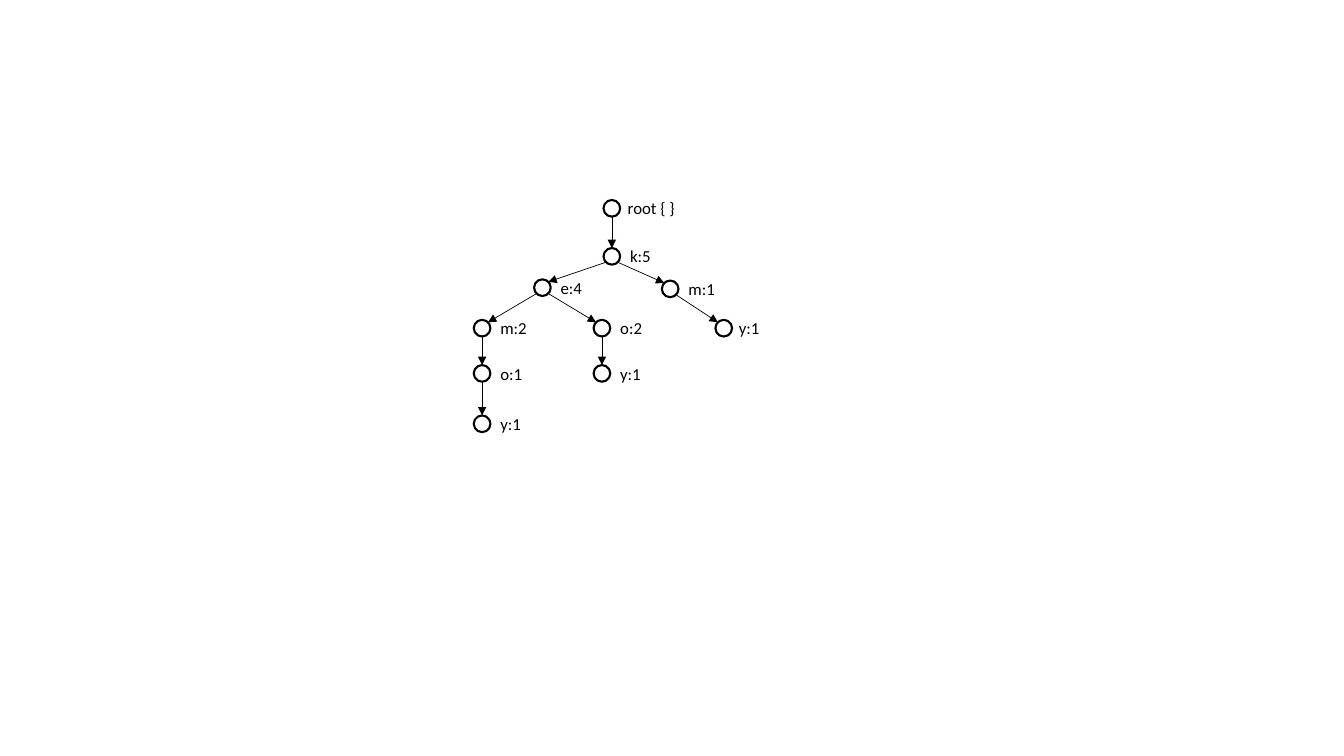
import math

import pptx
import pptx.dml.color
import pptx.enum.shapes
import pptx.enum.text
import pptx.oxml
import pptx.oxml.ns
import pptx.util

Cm = pptx.util.Cm
Pt = pptx.util.Pt

COLORS = {"ink": "000000"}
FONT = "Calibri"
DIAMETER = 0.42
RADIUS = DIAMETER / 2
LABEL_WIDTH, LABEL_HEIGHT = 1.75, 0.76

# Prefix path: (label, centre x, centre y, label offset), in cm within the tree box
NODES = {
    "root": ("root { }", 3.48, 0.4, 0.15),
    "k": ("k:5", 3.48, 1.61, RADIUS),
    "ke": ("e:4", 1.73, 2.4, RADIUS),
    "kem": ("m:2", 0.21, 3.42, RADIUS),
    "kemo": ("o:1", 0.21, 4.56, RADIUS),
    "kemoy": ("y:1", 0.21, 5.83, RADIUS),
    "keo": ("o:2", 3.23, 3.42, RADIUS),
    "keoy": ("y:1", 3.23, 4.56, RADIUS),
    "km": ("m:1", 4.95, 2.43, RADIUS),
    "kmy": ("y:1", 6.3, 3.42, 0.13),
}


def ink():
    return pptx.dml.color.RGBColor.from_string(COLORS["ink"])


def add_node(slide, x, y):
    circle = slide.shapes.add_shape(
        pptx.enum.shapes.MSO_SHAPE.OVAL,
        Cm(x - RADIUS), Cm(y - RADIUS), Cm(DIAMETER), Cm(DIAMETER))
    circle.shadow.inherit = False
    circle.fill.background()
    circle.line.color.rgb = ink()
    circle.line.width = Pt(1.5)
    return circle


def add_label(slide, text, x, y):
    label = slide.shapes.add_textbox(
        Cm(x), Cm(y - LABEL_HEIGHT / 2), Cm(LABEL_WIDTH), Cm(LABEL_HEIGHT))
    frame = label.text_frame
    frame.word_wrap = True
    frame.auto_size = pptx.enum.text.MSO_AUTO_SIZE.SHAPE_TO_FIT_TEXT
    run = frame.paragraphs[0].add_run()
    run.text = text
    run.font.name = FONT
    run.font.size = Pt(12)
    run.font.color.rgb = ink()


def add_arrow(slide, start, end, child):
    """Run from the rim of the parent to the rim of the child circle."""
    (x1, y1), (x2, y2) = start, end
    vertical = x1 == x2
    diagonal = RADIUS * math.sqrt(0.5)
    dx = 0 if vertical else math.copysign(diagonal, x2 - x1)
    dy = RADIUS if vertical else diagonal
    arrow = slide.shapes.add_connector(
        pptx.enum.shapes.MSO_CONNECTOR.STRAIGHT,
        Cm(x1 + dx), Cm(y1 + dy), Cm(x2 - dx), Cm(y2 - dy))
    if vertical:
        arrow.end_connect(child, 0)
    arrow.line.color.rgb = ink()
    arrow.line.width = Pt(0.5)
    tail = pptx.oxml.parse_xml(
        f'<a:tailEnd {pptx.oxml.ns.nsdecls("a")} type="triangle"/>')
    arrow.line._get_or_add_ln().append(tail)
    arrow._element.spPr.append(pptx.oxml.parse_xml(
        f'<a:effectLst {pptx.oxml.ns.nsdecls("a")}/>'))


def add_prefix_tree(slide, left, top):
    # Circles and labels
    circles, centres = {}, {}
    for prefix, (text, x, y, offset) in NODES.items():
        centres[prefix] = (left + x, top + y)
        circles[prefix] = add_node(slide, left + x, top + y)
        add_label(slide, text, left + x + offset, top + y)

    # Arrows: dropping the last letter of a prefix gives its parent
    for prefix in NODES:
        if prefix != "root":
            parent = prefix[:-1] or "root"
            add_arrow(slide, centres[parent], centres[prefix], circles[prefix])


def main():
    presentation = pptx.Presentation()
    presentation.slide_width = Cm(33.87)
    presentation.slide_height = Cm(19.05)
    slide = presentation.slides.add_slide(presentation.slide_layouts[6])
    add_prefix_tree(slide, left=11.94, top=4.85)
    presentation.save("out.pptx")


if __name__ == "__main__":
    main()
